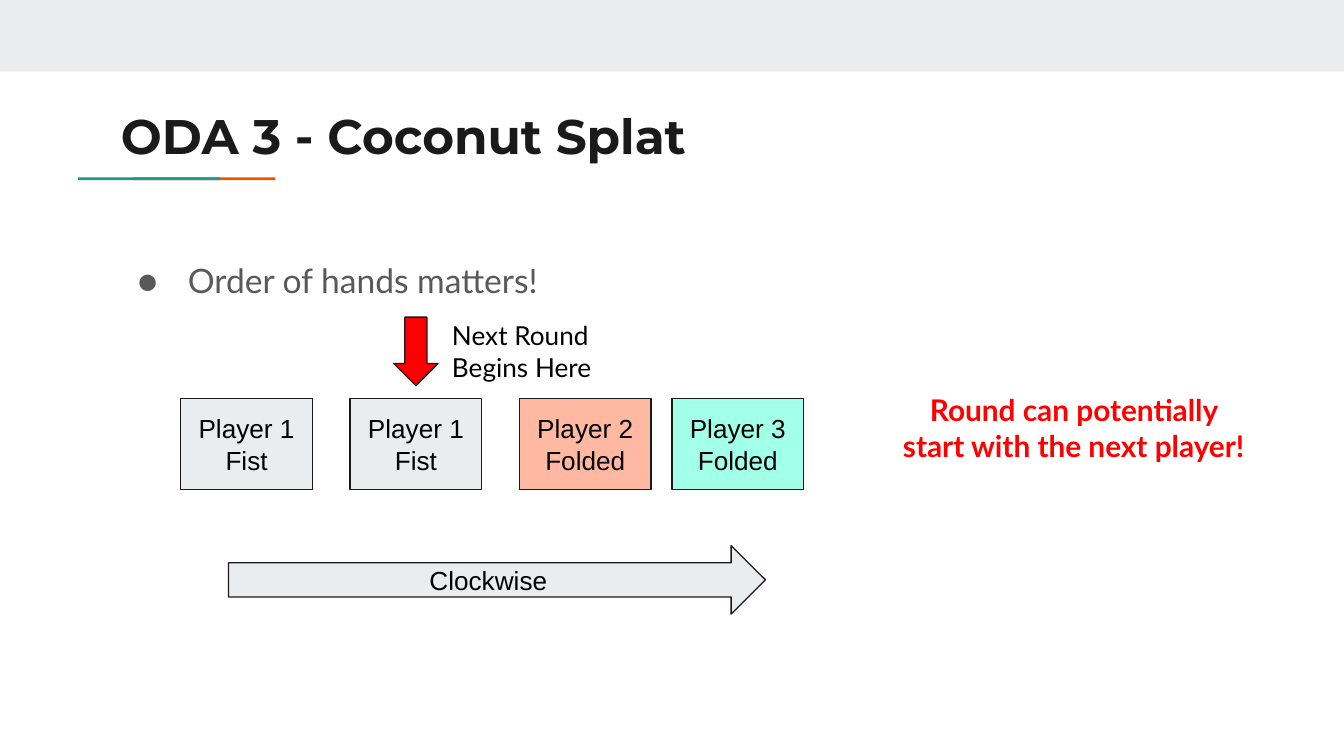
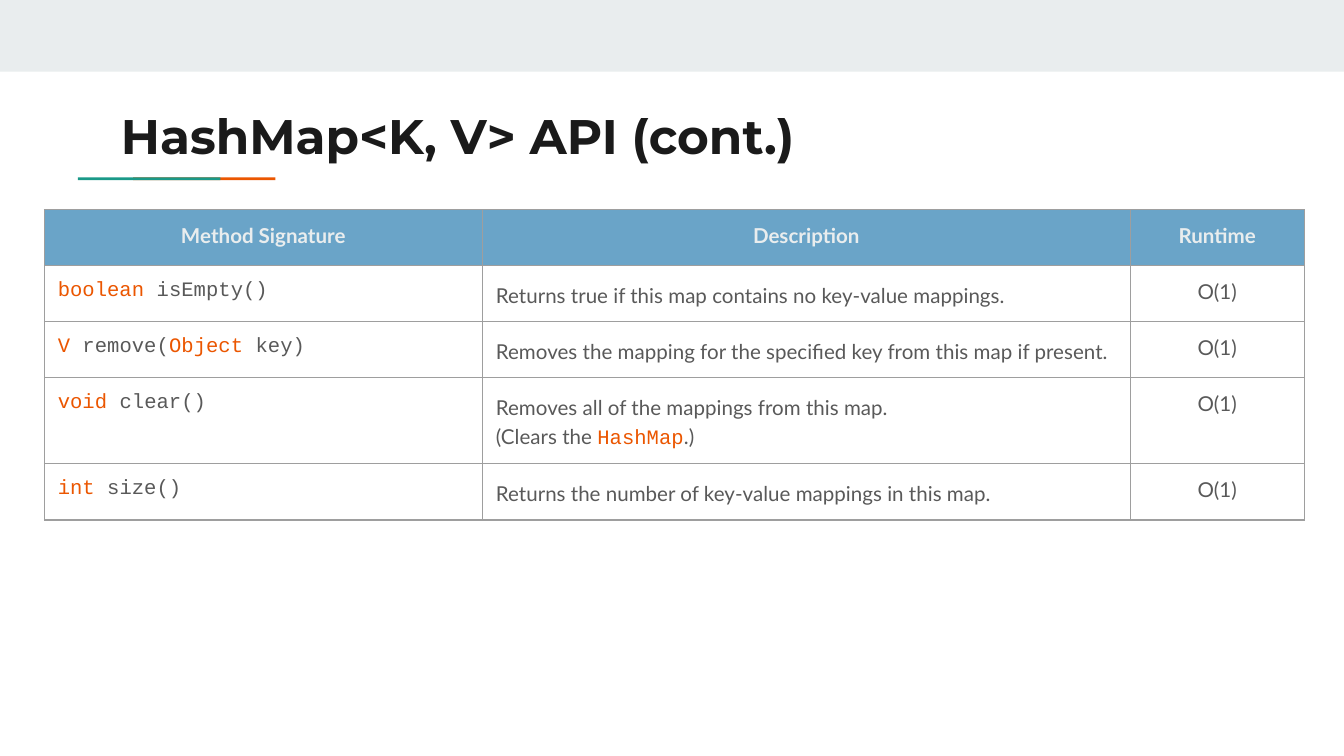
from copy import deepcopy
from dataclasses import dataclass
from typing import Optional, Union

from lxml import etree
from pptx import Presentation
from pptx.dml.color import RGBColor
from pptx.enum.shapes import MSO_SHAPE
from pptx.enum.text import MSO_ANCHOR, MSO_AUTO_SIZE, PP_ALIGN
from pptx.oxml.ns import qn
from pptx.presentation import Presentation as Deck
from pptx.shapes.autoshape import Shape
from pptx.shapes.shapetree import GroupShapes, SlideShapes
from pptx.slide import Slide
from pptx.table import _Cell as Cell
from pptx.text.text import TextFrame
from pptx.util import Inches, Pt

RECTANGLE = MSO_SHAPE.RECTANGLE
RIGHT_ARROW = MSO_SHAPE.RIGHT_ARROW
DOWN_ARROW = MSO_SHAPE.DOWN_ARROW
LEFT, CENTER = PP_ALIGN.LEFT, PP_ALIGN.CENTER
TOP, MIDDLE = MSO_ANCHOR.TOP, MSO_ANCHOR.MIDDLE
NO_AUTOFIT = MSO_AUTO_SIZE.NONE

BLACK = RGBColor(0x00, 0x00, 0x00)
INK = RGBColor(0x1A, 0x1A, 0x1A)
GRAY = RGBColor(0x59, 0x59, 0x59)
BORDER = RGBColor(0x9E, 0x9E, 0x9E)
MIST = RGBColor(0xE9, 0xED, 0xEE)
ORANGE = RGBColor(0xEB, 0x56, 0x00)
TEAL = RGBColor(0x1A, 0x99, 0x88)
SALMON = RGBColor(0xFF, 0xB8, 0xA2)
MINT = RGBColor(0xA2, 0xFF, 0xE8)
RED = RGBColor(0xFF, 0x00, 0x00)
BLUE = RGBColor(0x6A, 0xA4, 0xC8)

SLIDE_WIDTH, SLIDE_HEIGHT = Inches(10), Inches(5.625)
GRID = SLIDE_WIDTH // 100
PADDING = GRID
TITLE_ONLY = 5
THIN = Pt(0.75)

Shapes = Union[SlideShapes, GroupShapes]


@dataclass(frozen=True)
class Area:
    column: float
    row: float
    columns: float
    rows: float

    def lengths(self) -> tuple[int, int, int, int]:
        left, top, width, height = (
            round(cells * GRID)
            for cells in (self.column, self.row, self.columns, self.rows)
        )
        return left, top, width, height


@dataclass(frozen=True)
class Style:
    font: str
    size: float
    color: RGBColor
    bold: bool = False


@dataclass(frozen=True)
class Span:
    text: str
    style: Style


@dataclass(frozen=True)
class Player:
    column: float
    text: str
    fill: RGBColor


@dataclass(frozen=True)
class Method:
    signature: list[Span]
    description: list[Span]
    runtime: str


TITLE = Style("Montserrat", 26, INK, True)
BODY = Style("Lato", 18, GRAY)
BOX_LABEL = Style("Arial", 14, BLACK)
HINT = Style("Lato", 14, BLACK)
WARNING = Style("Lato", 16, RED, True)
HEADING = Style("Lato", 11, MIST, True)
CELL_TEXT = Style("Lato", 11, GRAY)
KEYWORD = Style("Courier New", 11, ORANGE)
CODE = Style("Courier New", 11, GRAY)

TITLE_AREA = Area(8, 6.9, 84.1, 5.9)
BAND = Area(0, 0, 100, 5.33)
ACCENTS = [(Area(9.9, 13.2, 10.6, 0.2), ORANGE), (Area(5.8, 13.2, 10.6, 0.2), TEAL)]

PLAYERS = [
    Player(13.45, "Player 1\nFist", MIST),
    Player(26.05, "Player 1\nFist", MIST),
    Player(38.65, "Player 2\nFolded", SALMON),
    Player(50, "Player 3\nFolded", MINT),
]

TABLE_COLUMNS = [32.6, 48.2, 12.95]
TABLE_ROW = 4.17
HEADINGS = ["Method Signature", "Description", "Runtime"]
METHODS = [
    Method(
        [Span("boolean", KEYWORD), Span(" isEmpty()", CODE)],
        [Span("Returns true if this map contains no key-value mappings.", CELL_TEXT)],
        "O(1)",
    ),
    Method(
        [
            Span("V", KEYWORD),
            Span(" remove(", CODE),
            Span("Object", KEYWORD),
            Span(" key)", CODE),
        ],
        [
            Span(
                "Removes the mapping for the specified key from this map if present.",
                CELL_TEXT,
            )
        ],
        "O(1)",
    ),
    Method(
        [Span("void", KEYWORD), Span(" clear()", CODE)],
        [
            Span("Removes all of the mappings from this map.\n(Clears the ", CELL_TEXT),
            Span("HashMap", KEYWORD),
            Span(".)", CELL_TEXT),
        ],
        "O(1)",
    ),
    Method(
        [Span("int", KEYWORD), Span(" size()", CODE)],
        [Span("Returns the number of key-value mappings in this map.", CELL_TEXT)],
        "O(1)",
    ),
]


def format_run(run, style: Style) -> None:
    run.font.name = style.font
    run.font.size = Pt(style.size)
    run.font.color.rgb = style.color
    run.font.bold = style.bold


def write_text(
    frame: TextFrame, text: str, style: Style, align: PP_ALIGN, anchor: MSO_ANCHOR
) -> None:
    frame.text = text
    frame.word_wrap = True
    frame.auto_size = NO_AUTOFIT
    frame.vertical_anchor = anchor
    frame.margin_left = frame.margin_right = PADDING
    frame.margin_top = frame.margin_bottom = PADDING
    for para in frame.paragraphs:
        para.alignment = align
        for run in para.runs:
            format_run(run, style)


def add_text(
    shapes: Shapes, area: Area, text: str, style: Style, align: PP_ALIGN = LEFT
) -> Shape:
    box = shapes.add_textbox(*area.lengths())
    write_text(box.text_frame, text, style, align, TOP)
    return box


def add_block(
    shapes: Shapes,
    area: Area,
    fill: RGBColor,
    kind: MSO_SHAPE = RECTANGLE,
    outline: Optional[RGBColor] = None,
    text: str = "",
) -> None:
    block = shapes.add_shape(kind, *area.lengths())
    block.shadow.inherit = False
    block.fill.solid()
    block.fill.fore_color.rgb = fill
    if outline is None:
        block.line.fill.background()
    else:
        block.line.color.rgb = outline
        block.line.width = THIN
    if text:
        write_text(block.text_frame, text, BOX_LABEL, CENTER, MIDDLE)


def add_page(deck: Deck, title: str) -> Slide:
    page = deck.slides.add_slide(deck.slide_layouts[TITLE_ONLY])
    add_block(page.shapes, BAND, MIST)
    accent = page.shapes.add_group_shape()
    for area, color in ACCENTS:
        add_block(accent.shapes, area, color)
    heading = page.shapes.title
    heading.left, heading.top, heading.width, heading.height = TITLE_AREA.lengths()
    write_text(heading.text_frame, title, TITLE, LEFT, TOP)
    return page


def add_bullet(shapes: Shapes, area: Area, text: str) -> None:
    para = add_text(shapes, area, text, BODY).text_frame.paragraphs[0]
    para.line_spacing = 1.5
    properties = para._p.get_or_add_pPr()
    properties.set("marL", str(Inches(0.5)))
    properties.set("indent", str(Inches(-0.375)))
    color = etree.SubElement(properties, qn("a:buClr"))
    etree.SubElement(color, qn("a:srgbClr"), val=str(GRAY))
    etree.SubElement(properties, qn("a:buSzPts"), val=str(BODY.size * 100))
    etree.SubElement(properties, qn("a:buFont"), typeface=BODY.font)
    etree.SubElement(properties, qn("a:buChar"), char="●")


def add_borders(cell: Cell) -> None:
    properties = cell._tc.get_or_add_tcPr()
    for position, edge in enumerate(("a:lnL", "a:lnR", "a:lnT", "a:lnB")):
        line = etree.Element(qn(edge), w=str(THIN))
        fill = etree.SubElement(line, qn("a:solidFill"))
        etree.SubElement(fill, qn("a:srgbClr"), val=str(BORDER))
        properties.insert(position, line)


def fill_cell(
    cell: Cell,
    spans: list[Span],
    align: PP_ALIGN = LEFT,
    spacing: Optional[float] = None,
    fill: Optional[RGBColor] = None,
) -> None:
    cell.margin_left = cell.margin_right = PADDING
    cell.margin_top = cell.margin_bottom = PADDING
    if fill is None:
        cell.fill.background()
    else:
        cell.fill.solid()
        cell.fill.fore_color.rgb = fill
    add_borders(cell)
    para = cell.text_frame.paragraphs[0]
    para.alignment = align
    para.line_spacing = spacing
    for span in spans:
        for number, line in enumerate(span.text.split("\n")):
            if number:
                para.add_line_break()
            run = para.add_run()
            run.text = line
            format_run(run, span.style)
    for line_break in para._p.findall(qn("a:br")):
        line_break.append(deepcopy(para.runs[0]._r.rPr))


def add_game_page(deck: Deck) -> None:
    page = add_page(deck, "ODA 3 - Coconut Splat")
    shapes = page.shapes
    add_bullet(shapes, Area(8, 16.85, 84.1, 5.9), "Order of hands matters!")
    for player in PLAYERS:
        area = Area(player.column, 29.65, 9.8, 6.8)
        add_block(shapes, area, player.fill, outline=INK, text=player.text)
    add_block(shapes, Area(17, 40.6, 39.95, 5.1), MIST, RIGHT_ARROW, INK, "Clockwise")
    marker = shapes.add_group_shape()
    add_block(marker.shapes, Area(29.3, 23.6, 3.3, 5.1), RED, DOWN_ARROW, INK)
    add_text(marker.shapes, Area(32.65, 22.8, 14.6, 4.1), "Next Round Begins Here", HINT)
    note = "Round can potentially start with the next player!"
    add_text(shapes, Area(65.7, 28.15, 28.4, 9.4), note, WARNING, CENTER)


def add_api_page(deck: Deck) -> None:
    page = add_page(deck, "HashMap<K, V> API (cont.)")
    row_count = len(METHODS) + 1
    area = Area(3.3, 15.6, sum(TABLE_COLUMNS), TABLE_ROW * row_count)
    table = page.shapes.add_table(row_count, len(HEADINGS), *area.lengths()).table
    table.first_row = table.horz_banding = False
    for column, width in zip(table.columns, TABLE_COLUMNS):
        column.width = round(width * GRID)
    for index, heading in enumerate(HEADINGS):
        fill_cell(table.cell(0, index), [Span(heading, HEADING)], CENTER, fill=BLUE)
    for row, method in enumerate(METHODS, start=1):
        fill_cell(table.cell(row, 0), method.signature)
        fill_cell(table.cell(row, 1), method.description, spacing=1.15)
        fill_cell(table.cell(row, 2), [Span(method.runtime, CELL_TEXT)], CENTER)


deck = Presentation()
deck.slide_width, deck.slide_height = SLIDE_WIDTH, SLIDE_HEIGHT
add_game_page(deck)
add_api_page(deck)
deck.save("out.pptx")
